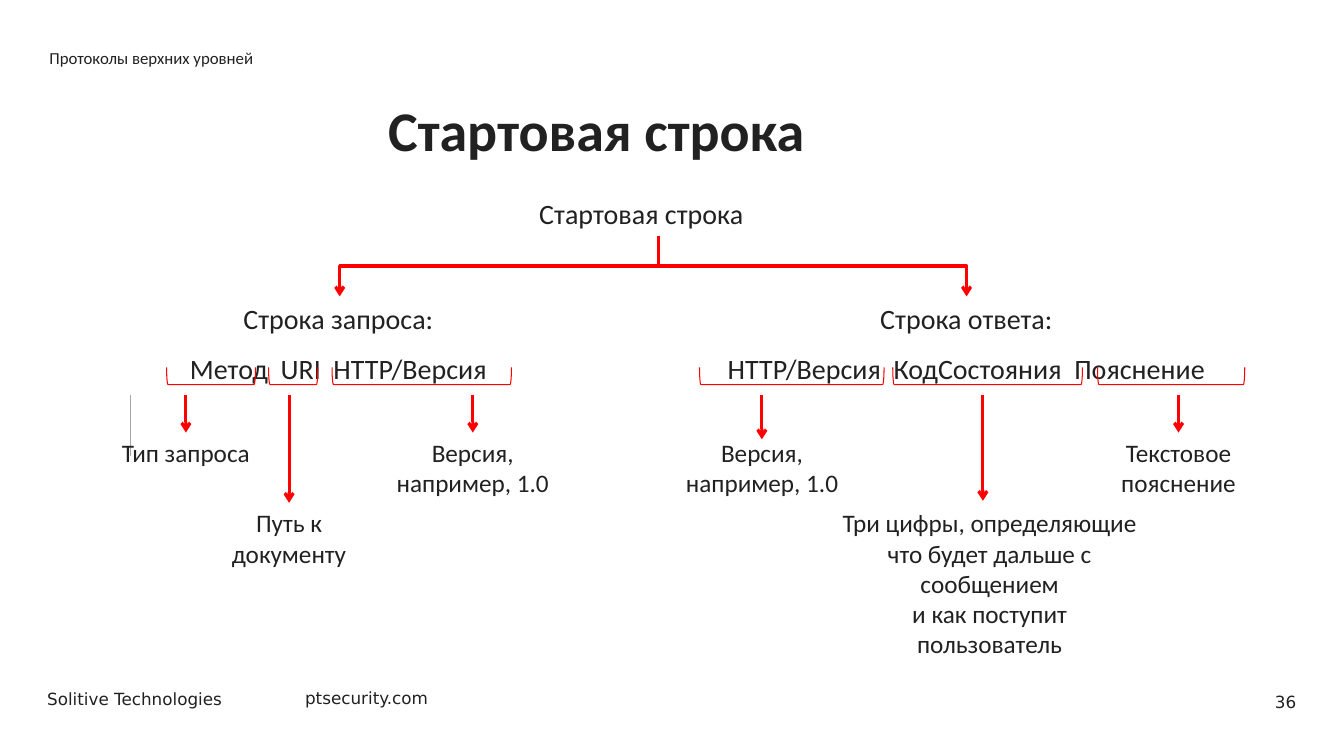
"""Build a slide that explains the parts of an HTTP start line."""
from dataclasses import dataclass

import pptx
import pptx.dml.color
import pptx.enum.shapes
import pptx.enum.text
import pptx.oxml
import pptx.oxml.ns
import pptx.util
from pptx.util import Cm

ALIGN = pptx.enum.text.PP_ALIGN
ANCHOR = pptx.enum.text.MSO_ANCHOR
LINE = pptx.enum.shapes.MSO_CONNECTOR
TOP = 0


@dataclass(frozen=True)
class Theme:
    """Fonts, colours and sizes of the slide."""
    font: str = "Calibri"
    footer_font: str = "DejaVu Sans"
    ink: str = "212121"
    accent: str = "FF0000"
    guide: str = "A6A6A6"
    title: int = 40
    term: int = 20
    note: int = 18
    small: int = 12
    arrow: float = 2.25
    bracket: float = 0.75
    hairline: float = 0.5


THEME = Theme()


def rgb(value):
    """Turn a hex string into a colour."""
    return pptx.dml.color.RGBColor.from_string(value)


def append_xml(parent, tag, attributes=""):
    """Append one drawing element to a parent element."""
    ns = pptx.oxml.ns.nsdecls("a")
    parent.append(pptx.oxml.parse_xml(f"<a:{tag} {ns} {attributes}/>"))


def place(shape, x, y, w, h):
    """Move and size a shape in centimetres."""
    shape.left, shape.top, shape.width, shape.height = Cm(x), Cm(y), Cm(w), Cm(h)


def style(p, size, align=ALIGN.LEFT, font=THEME.font, bold=False):
    """Format a whole paragraph."""
    p.alignment = align
    p.font.name, p.font.size, p.font.bold = font, pptx.util.Pt(size), bold
    p.font.color.rgb = rgb(THEME.ink)


def add_text(s, text, x, y, w, h, size, align=ALIGN.CENTER, font=THEME.font, wrap=True):
    """Add a text box with one paragraph for each line of text."""
    box = s.shapes.add_textbox(Cm(x), Cm(y), Cm(w), Cm(h))
    tf = box.text_frame
    tf.word_wrap = wrap
    tf.text = text
    for p in tf.paragraphs:
        style(p, size, align, font)
    return box


def add_line(s, kind, ends, color=THEME.accent, width=THEME.arrow, arrow=True):
    """Add a connector, with an arrowhead at its end if wanted."""
    c = s.shapes.add_connector(kind, *(Cm(v) for v in ends))
    c.line.color.rgb = rgb(color)
    c.line.width = pptx.util.Pt(width)
    spPr = c.element.spPr
    if arrow:
        append_xml(spPr.find(pptx.oxml.ns.qn("a:ln")), "tailEnd", 'type="arrow"')
    append_xml(spPr, "effectLst")
    return c


def add_branch(s, x1, y1, x2, y2):
    """Add an elbow arrow that leaves downwards and arrives downwards."""
    side = 1 if x2 < x1 else -1
    cx, cy = (x1 + x2) / 2, (y1 + y2) / 2
    dx, dy = side * (y2 - y1) / 2, abs(x2 - x1) / 2
    c = add_line(s, LINE.ELBOW, (cx - dx, cy - dy, cx + dx, cy + dy))
    c.element.spPr.xfrm.set("rot", str((180 - 90 * side) * 60000))


def add_bracket(s, x, w, y=9.26, h=0.43):
    """Add a bracket that opens upwards under a term."""
    b = s.shapes.add_shape(pptx.enum.shapes.MSO_SHAPE.LEFT_BRACKET,
                           Cm(x + (w - h) / 2), Cm(y + (h - w) / 2), Cm(h), Cm(w))
    b.rotation = 270
    b.shadow.inherit = False
    b.fill.background()
    b.line.color.rgb = rgb(THEME.accent)
    b.line.width = pptx.util.Pt(THEME.bracket)


def add_note(s, text, x, y, w, h=1.8, tip=None, start=9.96):
    """Add a note and its arrow, joined to the note unless a tip is given."""
    box = add_text(s, text, x, y, w, h, THEME.note)
    end_x, end_y = tip or (x + w / 2, y)
    c = add_line(s, LINE.STRAIGHT, (end_x, start, end_x, end_y))
    if not tip:
        c.end_connect(box, TOP)


def add_term_line(s, label, terms, x, w):
    """Add a heading with the terms of one start line below it."""
    box = add_text(s, f"{label}\n{terms}", x, 7.47, w, 2.24, THEME.term)
    box.text_frame.paragraphs[1].line_spacing = 1.5


def fill_placeholders(s, title, section):
    """Write the title and the section name."""
    t, body = s.shapes.title, s.placeholders[1]
    place(t, 9.53, 2.29, 18.77, 3.05)
    place(body, 0.99, 0.94, 26.24, 1.02)
    for shape, text, anchor in ((t, title, ANCHOR.TOP), (body, section, ANCHOR.MIDDLE)):
        tf = shape.text_frame
        tf.text = text
        tf.vertical_anchor = anchor
        tf.auto_size = pptx.enum.text.MSO_AUTO_SIZE.NONE
    p = t.text_frame.paragraphs[0]
    p.line_spacing = pptx.util.Pt(48)
    style(p, THEME.title, bold=True)
    p = body.text_frame.paragraphs[0]
    p.space_before = 0
    pPr = p._p.get_or_add_pPr()
    pPr.set("marL", "0")
    pPr.set("indent", "0")
    append_xml(pPr, "buNone")
    style(p, THEME.small)


def add_footer(s):
    """Add the company, the site and the page number."""
    look = dict(size=THEME.small, font=THEME.footer_font)
    add_text(s, "Solitive Technologies", 0.94, 17.22, 5.03, 0.76,
             align=ALIGN.LEFT, wrap=False, **look)
    add_text(s, "ptsecurity.com", 7.44, 17.2, 3.66, 0.76,
             align=ALIGN.LEFT, wrap=False, **look)
    page = add_text(s, "36", 27.23, 17.17, 5.69, 1.02, align=ALIGN.RIGHT, **look)
    page.text_frame.vertical_anchor = ANCHOR.MIDDLE


def main():
    """Build and save the slide."""
    prs = pptx.Presentation()
    prs.slide_width, prs.slide_height = Cm(33.87), Cm(19.05)
    s = prs.slides.add_slide(prs.slide_layouts[1])
    fill_placeholders(s, "Стартовая строка", "Протоколы верхних уровней")
    add_footer(s)

    add_text(s, "Стартовая строка", 13.34, 4.83, 6.5, 1.12, THEME.term, ALIGN.LEFT)
    add_term_line(s, "Строка запроса:", "Метод  URI  HTTP/Версия", 2.46, 12.14)
    add_term_line(s, "Строка ответа:", "HTTP/Версия  КодСостояния  Пояснение",
                  15.95, 16.81)
    for x in (8.56, 24.36):
        add_branch(s, 16.59, 5.94, x, 7.47)

    add_line(s, LINE.STRAIGHT, (3.28, 9.96, 3.28, 11.48),
             THEME.guide, THEME.hairline, arrow=False)
    for x, w in ((4.2, 2.24), (6.77, 1.24), (8.37, 4.52),
                 (17.63, 4.65), (22.5, 4.78), (27.66, 3.71)):
        add_bracket(s, x, w)

    version = "Версия, например, 1.0"
    add_note(s, "Тип запроса", 2.74, 10.9, 3.89)
    add_note(s, "Путь к\nдокументу", 5.05, 12.67, 4.47)
    add_note(s, version, 9.3, 10.9, 5.23)
    add_note(s, version, 16.59, 10.9, 5.23, tip=(19.2, 11.07))
    add_note(s, "Три цифры, определяющие что будет дальше с сообщением\v"
             "и как поступит пользователь", 20.85, 12.67, 8.18, 4.11, tip=(24.77, 12.62))
    add_note(s, "Текстовое пояснение", 26.64, 10.9, 6.12)
    prs.save("out.pptx")


if __name__ == "__main__":
    main()
